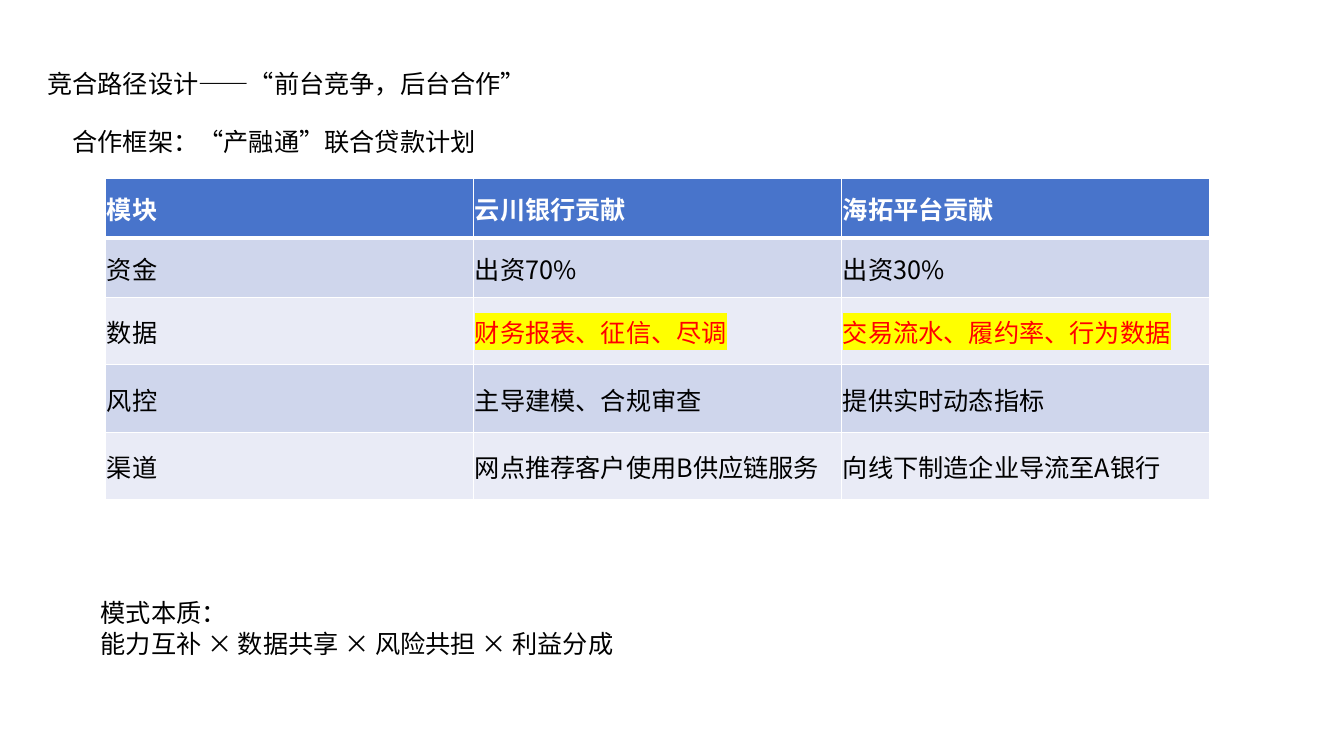
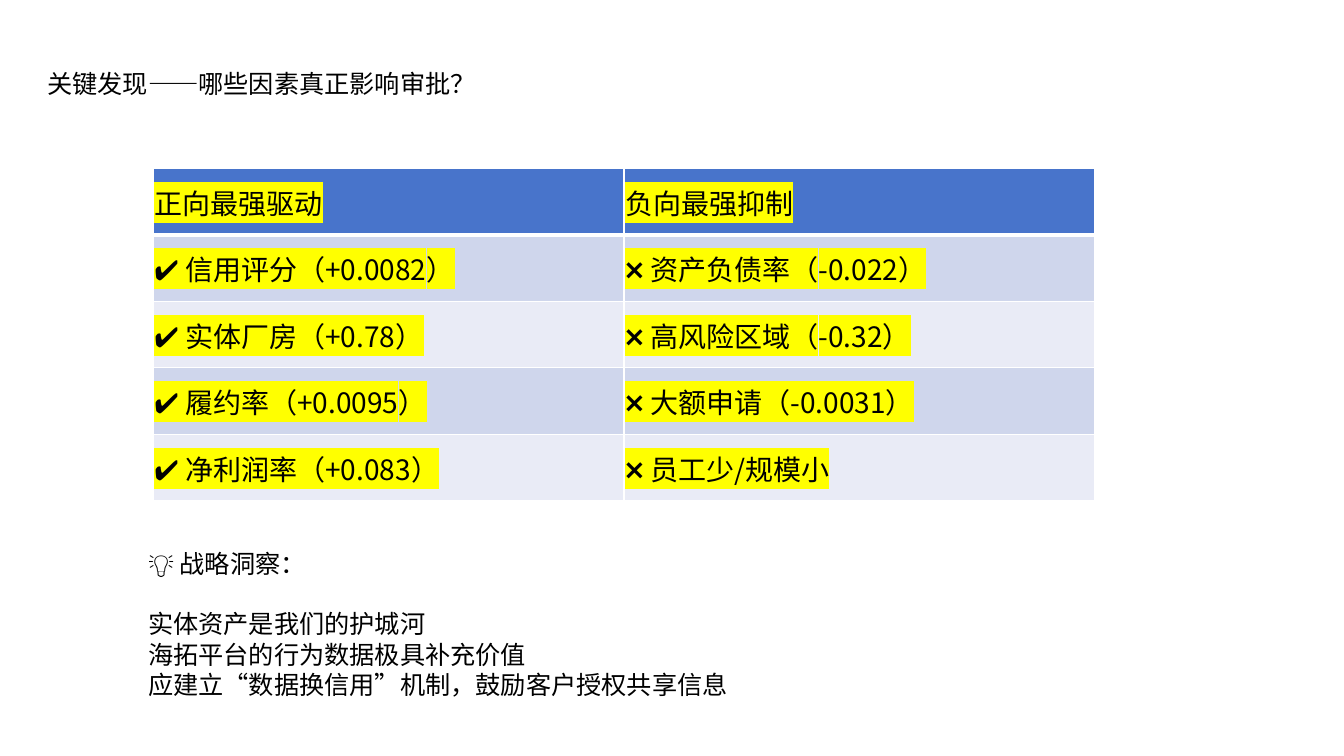
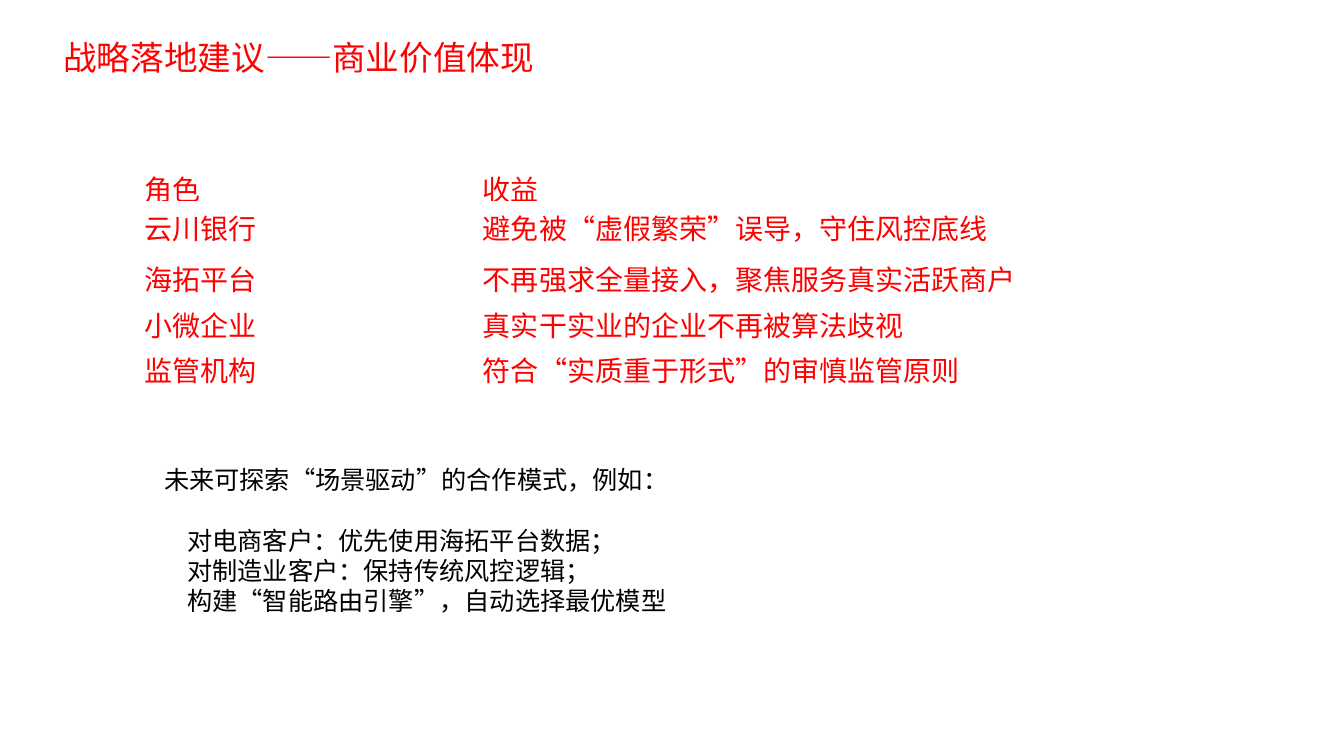
from dataclasses import dataclass
from lxml.etree import SubElement
from pptx import Presentation
from pptx.dml.color import RGBColor
from pptx.enum.text import MSO_ANCHOR, MSO_AUTO_SIZE
from pptx.oxml.ns import qn
from pptx.util import Inches, Pt


@dataclass(frozen=True)
class Theme:
    black: str = "000000"
    white: str = "FFFFFF"
    red: str = "FF0000"
    mark: str = "FFFF00"
    head: str = "4874CB"
    bands: tuple = ("CFD6EC", "E9EBF6")
    text_font: str = "Noto Sans CJK JP"
    cell_font: str = "Noto Sans CJK SC"
    body: int = 18
    large: int = 20
    title: int = 24
    pitch: float = 1.2  # line height as a share of the type size


T = Theme()

# Content: a text line is (text, indent, gap before in lines)
STEP = 0.23
PLAIN = {"size": T.body, "color": T.black}
HEAD = {"size": T.body, "color": T.white, "bold": True}
KEY = {"size": T.body, "color": T.red, "mark": T.mark}
FACTOR = {"size": T.large, "color": T.black, "mark": T.mark}
GAIN = {"size": T.large, "color": T.red}

SLIDES = [
    {
        "texts": [
            ((0.37, 0.63, 11.52, 0.4), PLAIN,
             [("竞合路径设计——“前台竞争，后台合作”", 0, 0)]),
            ((0.62, 1.2, 11.6, 0.4), PLAIN,
             [("合作框架：“产融通”联合贷款计划", 0, 0)]),
            ((0.9, 5.88, 6.41, 0.71), PLAIN,
             [("模式本质：", 0, 0),
              ("能力互补 × 数据共享 × 风险共担 × 利益分成", 0, 0)]),
        ],
        "table": {
            "at": (1.05, 1.77), "cols": [3.65] * 3,
            "rows": [0.59] * 2 + [0.67] * 3, "banded": True,
            "head": HEAD, "body": PLAIN, "special": {(2, 1): KEY, (2, 2): KEY},
            "cells": [
                ("模块", "云川银行贡献", "海拓平台贡献"),
                ("资金", "出资70%", "出资30%"),
                ("数据", "财务报表、征信、尽调", "交易流水、履约率、行为数据"),
                ("风控", "主导建模、合规审查", "提供实时动态指标"),
                ("渠道", "网点推荐客户使用B供应链服务", "向线下制造企业导流至A银行"),
            ],
        },
    },
    {
        "texts": [
            ((0.37, 0.63, 11.52, 0.4), PLAIN,
             [("关键发现——哪些因素真正影响审批？", 0, 0)]),
            ((1.14, 5.39, 11.6, 1.61), PLAIN,
             [("💡 战略洞察：", STEP, 0),
              ("实体资产是我们的护城河", STEP, 1),
              ("海拓平台的行为数据极具补充价值", STEP, 0),
              ("应建立“数据换信用”机制，鼓励客户授权共享信息", STEP, 0)]),
        ],
        "table": {
            "at": (1.52, 1.67), "cols": [4.67] * 2, "rows": [0.66] * 5,
            "banded": True, "head": FACTOR, "body": FACTOR, "special": {},
            "cells": [
                ("正向最强驱动", "负向最强抑制"),
                ("✔️ 信用评分（+0.0082）", "❌ 资产负债率（-0.022）"),
                ("✔️ 实体厂房（+0.78）", "❌ 高风险区域（-0.32）"),
                ("✔️ 履约率（+0.0095）", "❌ 大额申请（-0.0031）"),
                ("✔️ 净利润率（+0.083）", "❌ 员工少/规模小"),
            ],
        },
    },
    {
        "texts": [
            ((0.53, 0.32, 11.52, 0.5), {"size": T.title, "color": T.red},
             [("战略落地建议——商业价值体现", 0, 0)]),
            ((1.53, 4.56, 7.24, 1.61), PLAIN,
             [("未来可探索“场景驱动”的合作模式，例如：", 0, 0),
              ("对电商客户：优先使用海拓平台数据；", STEP, 1),
              ("对制造业客户：保持传统风控逻辑；", STEP, 0),
              ("构建“智能路由引擎”，自动选择最优模型", STEP, 0)]),
        ],
        "table": {
            "at": (1.42, 1.66), "cols": [3.36, 6.9],
            "rows": [0.31, 0.5, 0.5, 0.4, 0.5], "banded": False,
            "head": GAIN, "body": GAIN, "special": {},
            "cells": [
                ("角色", "收益"),
                ("云川银行", "避免被“虚假繁荣”误导，守住风控底线"),
                ("海拓平台", "不再强求全量接入，聚焦服务真实活跃商户"),
                ("小微企业", "真实干实业的企业不再被算法歧视"),
                ("监管机构", "符合“实质重于形式”的审慎监管原则"),
            ],
        },
    },
]


def style(run, face, size, color, bold=False, mark=None):
    font = run.font
    font.size, font.bold = Pt(size), bold
    font.color.rgb = RGBColor.from_string(color)
    props = run._r.get_or_add_rPr()
    if mark:
        SubElement(SubElement(props, qn("a:highlight")), qn("a:srgbClr"), val=mark)
    font.name = face
    SubElement(props, qn("a:ea"), typeface=face)


def add_text(slide, at, look, lines):
    box = slide.shapes.add_textbox(*map(Inches, at))
    frame = box.text_frame
    frame.word_wrap = True
    frame.auto_size = MSO_AUTO_SIZE.SHAPE_TO_FIT_TEXT
    frame.text = "\n".join(line[0] for line in lines)
    pitch = look["size"] * T.pitch
    for para, (_, indent, gap) in zip(frame.paragraphs, lines):
        para.line_spacing = Pt(pitch)
        para.space_before = Pt(pitch * gap)
        if indent:
            para._p.get_or_add_pPr().set("marL", str(Inches(indent)))
        for run in para.runs:
            style(run, T.text_font, **look)


def add_edges(cell, foot):
    props = cell._tc.get_or_add_tcPr()
    for side, width in (("L", 1), ("R", 1), ("T", 1), ("B", foot)):
        line = SubElement(props, qn(f"a:ln{side}"), w=str(Pt(width)))
        SubElement(SubElement(line, qn("a:solidFill")), qn("a:srgbClr"), val=T.white)


def fill_cell(cell, text, look, row, banded):
    cell.margin_left = cell.margin_right = cell.margin_top = Inches(0.01)
    cell.margin_bottom = 0
    cell.vertical_anchor = MSO_ANCHOR.MIDDLE
    if banded:
        add_edges(cell, 1 if row else 3)
        cell.fill.solid()
        tint = T.bands[(row - 1) % 2] if row else T.head
        cell.fill.fore_color.rgb = RGBColor.from_string(tint)
    else:
        cell.fill.background()
    cell.text_frame.text = text
    style(cell.text_frame.paragraphs[0].runs[0], T.cell_font, **look)


def add_grid(slide, data):
    cols, rows = data["cols"], data["rows"]
    place = (*data["at"], sum(cols), sum(rows))
    grid = slide.shapes.add_table(len(rows), len(cols), *map(Inches, place)).table
    grid.first_row = grid.horz_banding = data["banded"]
    for col, width in zip(grid.columns, cols):
        col.width = Inches(width)
    for r, (height, texts) in enumerate(zip(rows, data["cells"])):
        grid.rows[r].height = Inches(height)
        for c, text in enumerate(texts):
            look = data["special"].get((r, c), data["body"] if r else data["head"])
            fill_cell(grid.cell(r, c), text, look, r, data["banded"])


def main():
    deck = Presentation()
    deck.slide_width, deck.slide_height = Inches(13.33), Inches(7.5)
    for page in SLIDES:
        slide = deck.slides.add_slide(deck.slide_layouts[6])
        for at, look, lines in page["texts"]:
            add_text(slide, at, look, lines)
        add_grid(slide, page["table"])
    deck.save("out.pptx")


if __name__ == "__main__":
    main()
